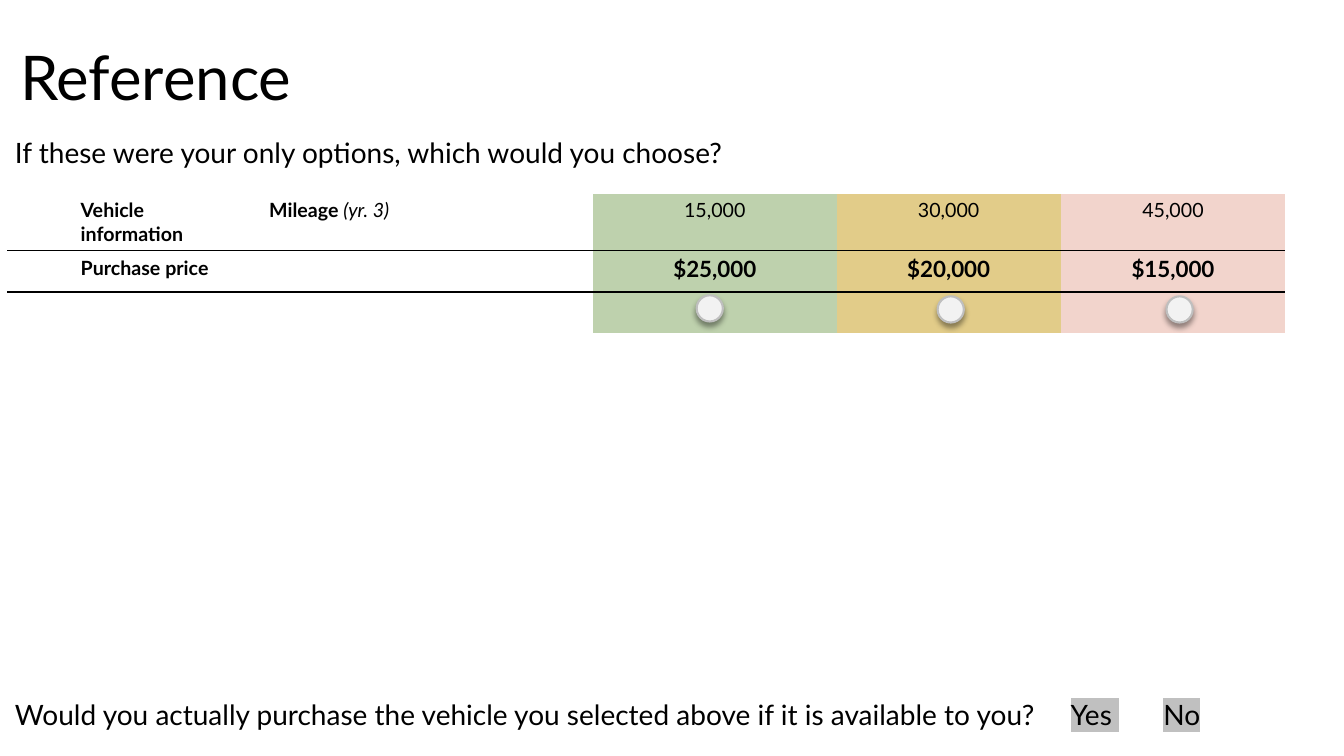
from lxml.etree import SubElement
from pptx import Presentation
from pptx.dml.color import RGBColor
from pptx.enum.shapes import MSO_SHAPE as Shape
from pptx.enum.text import MSO_ANCHOR as Anchor, PP_ALIGN as Align
from pptx.oxml import parse_xml
from pptx.oxml.ns import nsdecls, qn
from pptx.util import Inches, Pt

FONT = "Lato"
BLACK = "000000"
NO_GRID_STYLE = "{2D5ABB26-0587-4C30-8999-92F81FD0307C}"
COLUMN_WIDTHS = [0.63, 1.87, 3.31, 2.42, 2.22, 2.23]
ROW_HEIGHTS = [0.56, 0.41, 0.41]
OPTION_FILLS = ["BED1AD", "E2CC89", "F2D4CC"]
MILEAGES = ["15,000", "30,000", "45,000"]
PRICES = ["$25,000", "$20,000", "$15,000"]
BUTTON_SPOTS = [(6.84, 1.01), (9.23, 1.02), (11.5, 1.02)]
BUTTON_SIZE = 0.26


def color(value):
    return RGBColor.from_string(value)


def write(paragraph, text, size=20, bold=False, italic=False, highlight=None):
    run = paragraph.add_run()
    run.text = text
    font = run.font
    font.name, font.size, font.bold, font.italic = FONT, Pt(size), bold, italic
    font.color.rgb = color(BLACK)
    if highlight:
        ink = run._r.rPr.find(qn("a:solidFill"))
        ink.addnext(parse_xml(
            f'<a:highlight {nsdecls("a")}><a:srgbClr val="{highlight}"/></a:highlight>'))


def add_line_box(slide, left, top, width, height, anchor=Anchor.TOP):
    frame = slide.shapes.add_textbox(
        Inches(left), Inches(top), Inches(width), Inches(height)).text_frame
    frame.word_wrap = True
    frame.vertical_anchor = anchor
    paragraph = frame.paragraphs[0]
    paragraph.line_spacing = 0.9
    return paragraph


def add_title(slide, left, top, width, height):
    title = add_line_box(slide, left, top, width, height, Anchor.MIDDLE)
    write(title, "Reference", size=44)


def add_choice_question(slide, left, top, width, height):
    question = add_line_box(slide, left, top, width, height)
    write(question, "If these were your only options, which would you choose?")


def add_purchase_question(slide, left, top, width, height):
    question = add_line_box(slide, left, top, width, height)
    stops = SubElement(question._p.get_or_add_pPr(), qn("a:tabLst"))
    for position in (10.47, 11.39):
        SubElement(stops, qn("a:tab"), pos=str(Inches(position)), algn="l")
    write(question, "Would you actually purchase the vehicle you selected above "
                    "if it is available to you?")
    for answer in ("Yes ", "No"):
        write(question, "\t")
        write(question, answer, highlight="C0C0C0")


def add_rule(cell, side):
    properties = cell._tc.get_or_add_tcPr()
    rule = parse_xml(
        f'<a:{side} {nsdecls("a")} w="12700"><a:solidFill><a:srgbClr val="{BLACK}"/>'
        f'</a:solidFill></a:{side}>')
    properties.insert(len(properties) - 1, rule)


def add_radio_button(slide, left, top):
    button = slide.shapes.add_shape(
        Shape.OVAL, Inches(left), Inches(top), Inches(BUTTON_SIZE), Inches(BUTTON_SIZE))
    button.shadow.inherit = False
    button.fill.solid()
    button.fill.fore_color.rgb = color("F2F2F2")
    button.line.color.rgb = color("BFBFBF")
    button.line.width = Pt(1.5)
    effects = button._element.spPr.find(qn("a:effectLst"))
    effects.append(parse_xml(
        f'<a:outerShdw {nsdecls("a")} blurRad="{Pt(4)}" dist="{Pt(3)}" dir="5400000" '
        f'rotWithShape="0"><a:srgbClr val="{BLACK}"><a:alpha val="40000"/></a:srgbClr>'
        '</a:outerShdw>'))


def add_vehicle_table(slide, left, top):
    table = slide.shapes.add_table(
        len(ROW_HEIGHTS), len(COLUMN_WIDTHS), Inches(left), Inches(top),
        Inches(sum(COLUMN_WIDTHS)), Inches(sum(ROW_HEIGHTS))).table
    table.first_row = table.horz_banding = False
    table._tbl.tblPr.find(qn("a:tableStyleId")).text = NO_GRID_STYLE
    for column, width in zip(table.columns, COLUMN_WIDTHS):
        column.width = Inches(width)
    for row, height in zip(table.rows, ROW_HEIGHTS):
        row.height = Inches(height)

    fills = [None] * 3 + OPTION_FILLS
    last_row = len(ROW_HEIGHTS) - 1
    for row_index, row in enumerate(table.rows):
        for cell, fill in zip(row.cells, fills):
            if fill:
                cell.fill.solid()
                cell.fill.fore_color.rgb = color(fill)
            else:
                cell.fill.background()
            if row_index > 0:
                add_rule(cell, "lnT")
            if row_index < last_row:
                add_rule(cell, "lnB")

    heading = table.cell(0, 1).text_frame
    write(heading.paragraphs[0], "Vehicle", size=14, bold=True)
    write(heading.add_paragraph(), "information", size=14, bold=True)
    mileage = table.cell(0, 2).text_frame.paragraphs[0]
    write(mileage, "Mileage ", size=14, bold=True)
    write(mileage, "(yr. 3)", size=14, italic=True)
    write(table.cell(1, 1).text_frame.paragraphs[0], "Purchase price", size=14, bold=True)

    for row_index, values, size, bold in ((0, MILEAGES, 14, False), (1, PRICES, 16, True)):
        for column_index, value in enumerate(values, start=3):
            paragraph = table.cell(row_index, column_index).text_frame.paragraphs[0]
            paragraph.alignment = Align.CENTER
            write(paragraph, value, size=size, bold=bold)

    for across, down in BUTTON_SPOTS:
        add_radio_button(slide, left + across, top + down)


def main():
    deck = Presentation()
    deck.slide_width, deck.slide_height = Inches(13.33), Inches(7.5)
    slide = deck.slides.add_slide(deck.slide_layouts[6])
    add_title(slide, 0.1, 0.4, 12.32, 0.8)
    add_choice_question(slide, 0.05, 1.33, 12.37, 0.59)
    add_vehicle_table(slide, 0.07, 1.92)
    add_purchase_question(slide, 0.05, 6.91, 12.37, 0.59)
    deck.save("out.pptx")


if __name__ == "__main__":
    main()
